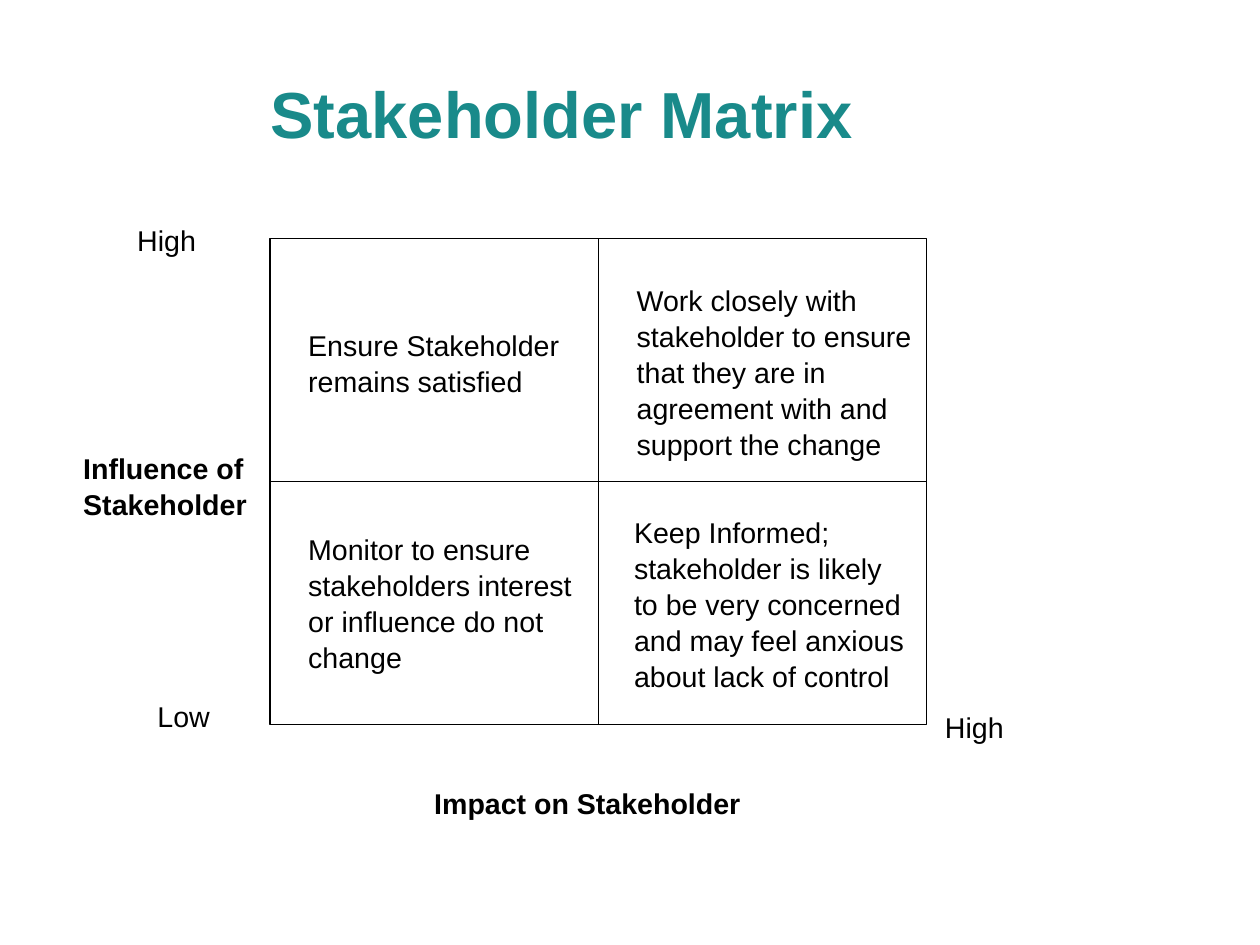
from dataclasses import dataclass

from pptx import Presentation
from pptx import util as u
from pptx.dml import color
from pptx.enum import shapes, text
from pptx.oxml import ns, xmlchemy


@dataclass(frozen=True)
class Theme:
    font: str = "Arial"
    teal: str = "198A8A"
    black: str = "000000"
    head: float = 41
    body: float = 18
    rule: float = 0.75


@dataclass(frozen=True)
class Box:
    x: float
    y: float
    w: float
    h: float


@dataclass(frozen=True)
class Note:
    box: Box
    lines: str
    bold: bool = False


THEME = Theme()
GRID = Box(6, 5.3, 14.6, 10.8)
TITLE = Box(1, 0.84, 22.98, 3.5)

NOTES = [
    Note(Box(6.6, 7.11, 6.15, 1.8), "Ensure Stakeholder\nremains satisfied"),
    Note(Box(13.9, 6.12, 6.68, 4.11),
         "Work closely with\nstakeholder to ensure\nthat they are in\n"
         "agreement with and\nsupport the change"),
    Note(Box(6.6, 11.66, 6.43, 3.33),
         "Monitor to ensure\nstakeholders interest\nor influence do not\nchange"),
    Note(Box(13.84, 11.28, 6.63, 4.09),
         "Keep Informed;\nstakeholder is likely\nto be very concerned\n"
         "and may feel anxious\nabout lack of control"),
    Note(Box(20.75, 15.6, 1.83, 1.02), "High"),
    Note(Box(2.8, 4.78, 1.83, 1.02), "High"),
    Note(Box(3.25, 15.37, 1.68, 1.02), "Low"),
    Note(Box(9.4, 17.3, 7.39, 1.02), "Impact on Stakeholder", bold=True),
    Note(Box(1.6, 9.86, 4.19, 1.8), "Influence of\nStakeholder", bold=True),
]


def place(box: Box) -> list[u.Length]:
    return [u.Cm(side) for side in (box.x, box.y, box.w, box.h)]


def write(slide, box: Box, lines: str, *, size: float = THEME.body,
          tint: str = THEME.black, bold: bool = False, wrap: bool = False,
          inset: tuple[float, float] = (0.25, 0.13), gap: float = 1.05,
          align=text.PP_ALIGN.LEFT, anchor=text.MSO_ANCHOR.TOP) -> None:
    frame = slide.shapes.add_textbox(*place(box)).text_frame
    frame.word_wrap = wrap
    frame.auto_size = (text.MSO_AUTO_SIZE.NONE if wrap
                       else text.MSO_AUTO_SIZE.SHAPE_TO_FIT_TEXT)
    frame.vertical_anchor = anchor
    frame.margin_left = frame.margin_right = u.Cm(inset[0])
    frame.margin_top = frame.margin_bottom = u.Cm(inset[1])
    frame.text = lines
    for para in frame.paragraphs:
        para.alignment = align
        para.line_spacing = gap
        para.font.name = THEME.font
        para.font.size = u.Pt(size)
        para.font.bold = bold
        para.font.color.rgb = color.RGBColor.from_string(tint)


def stroke(line) -> None:
    line.color.rgb = color.RGBColor.from_string(THEME.black)
    line.width = u.Pt(THEME.rule)


def rule(slide, x: float, y: float, right: float, base: float) -> None:
    link = slide.shapes.add_connector(
        shapes.MSO_CONNECTOR.STRAIGHT, u.Cm(x), u.Cm(y), u.Cm(right), u.Cm(base))
    stroke(link.line)
    link._element.spPr.append(xmlchemy.OxmlElement("a:effectLst"))


def matrix(slide, box: Box) -> None:
    frame = slide.shapes.add_shape(shapes.MSO_SHAPE.RECTANGLE, *place(box))
    frame.shadow.inherit = False
    frame.fill.background()
    stroke(frame.line)
    mid, half = box.x + box.w / 2, box.y + box.h / 2
    rule(slide, mid, box.y, mid, box.y + box.h)
    rule(slide, box.x, half, box.x + box.w, half)


def main() -> None:
    deck = Presentation()
    deck.slide_width, deck.slide_height = u.Cm(28), u.Cm(21)
    slide = deck.slides.add_slide(deck.slide_layouts[6])
    write(slide, TITLE, "Stakeholder Matrix", size=THEME.head, tint=THEME.teal,
          bold=True, wrap=True, inset=(0, 0), gap=0.93,
          align=text.PP_ALIGN.CENTER, anchor=text.MSO_ANCHOR.MIDDLE)
    matrix(slide, GRID)
    for note in NOTES:
        write(slide, note.box, note.lines, bold=note.bold)
    deck.save("out.pptx")


if __name__ == "__main__":
    main()
